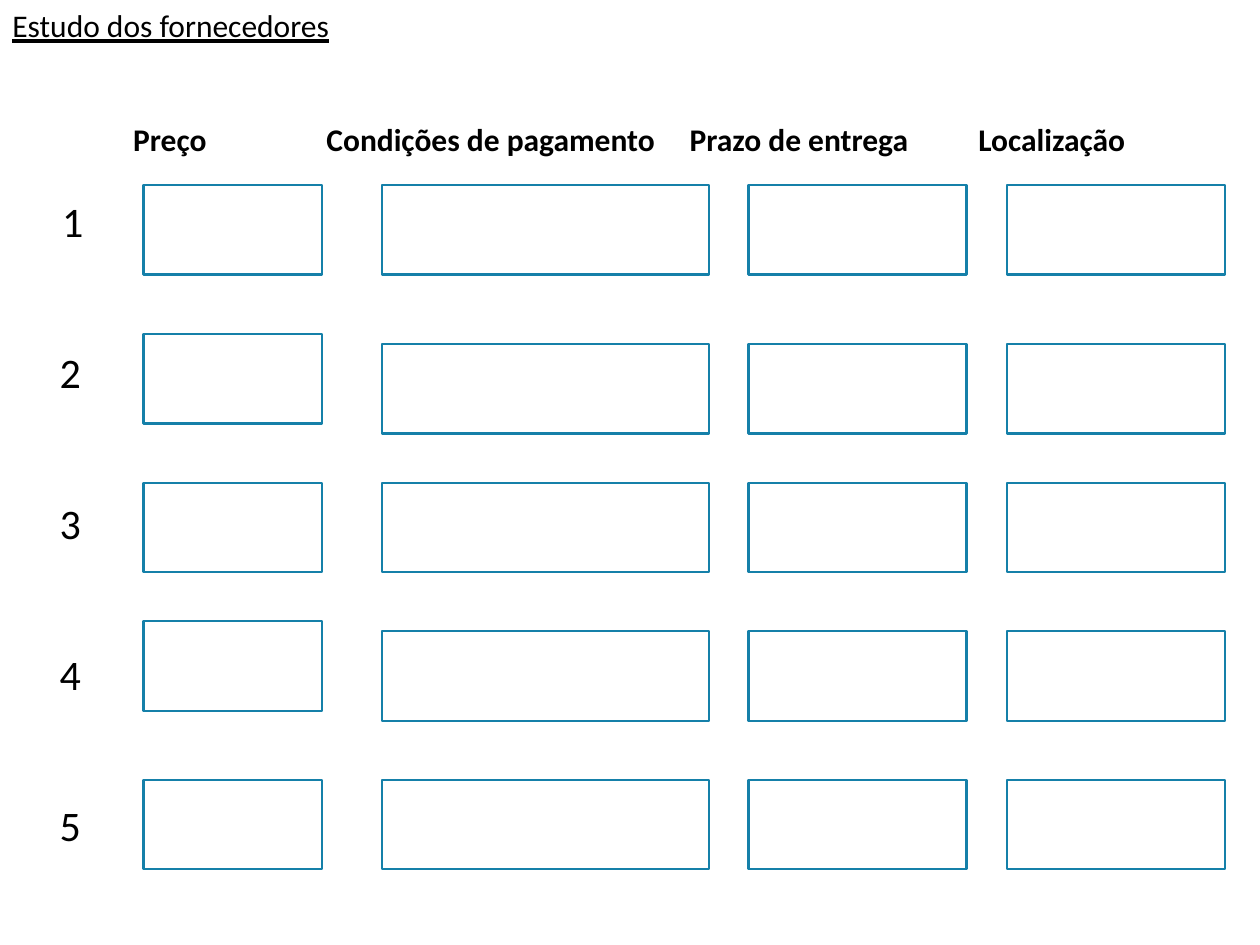
import pptx
import pptx.dml.color
import pptx.enum.shapes
import pptx.util
from dataclasses import dataclass
from lxml import etree

Pt = pptx.util.Pt
RGB = pptx.dml.color.RGBColor


@dataclass(frozen=True)
class Theme:
    font: str = "Calibri"
    ink: RGB = RGB(0, 0, 0)
    edge: RGB = RGB(0x15, 0x80, 0xA9)
    rule: float = 1.25
    body: float = 18
    digit: float = 24


THEME = Theme()
HEADS = ["Preço", "Condições de pagamento", "Prazo de entrega", "Localização"]
STOPS = [69, 179.5, 387, 552]
COLS = [(82, 102.2), (218.2, 187.2), (427.7, 124.6), (575.3, 124.6)]
ROWS = [105.8, 196.6, 275.8, 360.7, 445.7]
HIGH = 51.1
LIFT = 5.7  # the price boxes of even rows sit a little higher


def style(par, size, gap=0, bold=False, under=False):
    par.space_before = Pt(gap)
    for run in par.runs:
        font = run.font
        font.name, font.size = THEME.font, Pt(size)
        font.bold, font.underline = bold, under
        font.color.rgb = THEME.ink


def indent(par, left):
    props = par._p.get_or_add_pPr()
    props.set("marL", str(Pt(left)))
    props.set("indent", "0")


def add_tabs(par, stops):
    props = par._p.get_or_add_pPr()
    tabs = etree.SubElement(props, pptx.oxml.ns.qn("a:tabLst"))
    for stop in stops:
        tab = etree.SubElement(tabs, pptx.oxml.ns.qn("a:tab"))
        tab.set("pos", str(Pt(stop)))
        tab.set("algn", "l")


def add_text(slide):
    """Title, column heads and row numbers, in one text box."""
    frame = slide.shapes.add_textbox(0, 0, Pt(720), Pt(647.3)).text_frame
    frame.word_wrap = True
    frame.text = "Estudo dos fornecedores"
    style(frame.paragraphs[0], THEME.body, under=True)

    head = frame.add_paragraph()
    head.text = "".join("\t" + name for name in HEADS)
    add_tabs(head, STOPS)
    style(head, THEME.body, gap=43.4, bold=True)

    for num in range(1, len(ROWS) + 1):
        par = frame.add_paragraph()
        par.text = str(num)
        indent(par, 28.5 if num == 1 else 27)
        style(par, THEME.digit, gap=21.7 if num == 1 else 57.5)


def add_box(slide, left, top, wide):
    box = slide.shapes.add_shape(
        pptx.enum.shapes.MSO_SHAPE.RECTANGLE,
        Pt(left), Pt(top), Pt(wide), Pt(HIGH))
    box.shadow.inherit = False
    box.fill.background()
    box.line.color.rgb = THEME.edge
    box.line.width = Pt(THEME.rule)


def main():
    deck = pptx.Presentation()
    deck.slide_width, deck.slide_height = Pt(720), Pt(540)
    slide = deck.slides.add_slide(deck.slide_layouts[6])
    add_text(slide)
    for col, (left, wide) in enumerate(COLS):
        for row, top in enumerate(ROWS):
            lift = LIFT if col == 0 and row % 2 else 0
            add_box(slide, left, top - lift, wide)
    deck.save("out.pptx")


if __name__ == "__main__":
    main()
